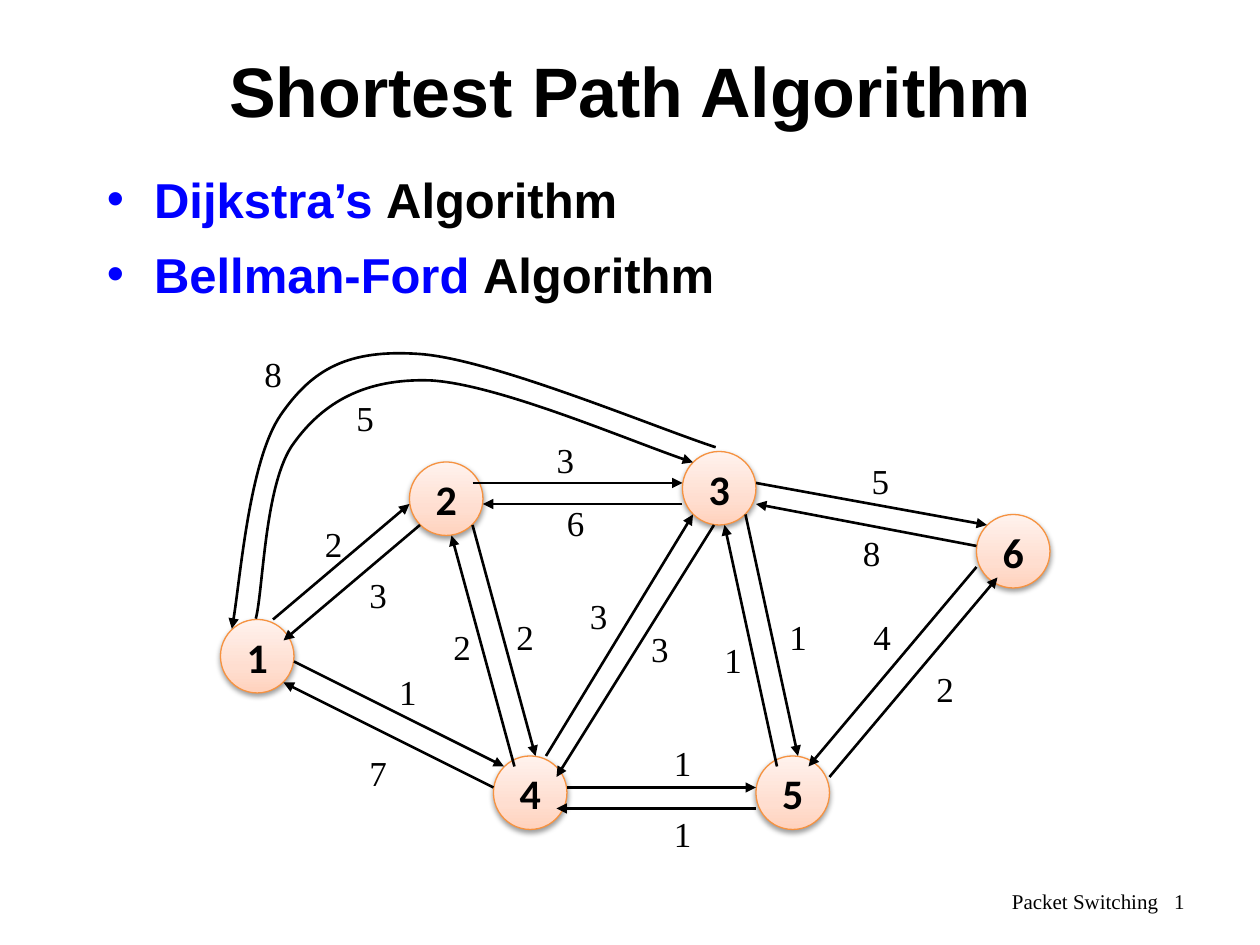
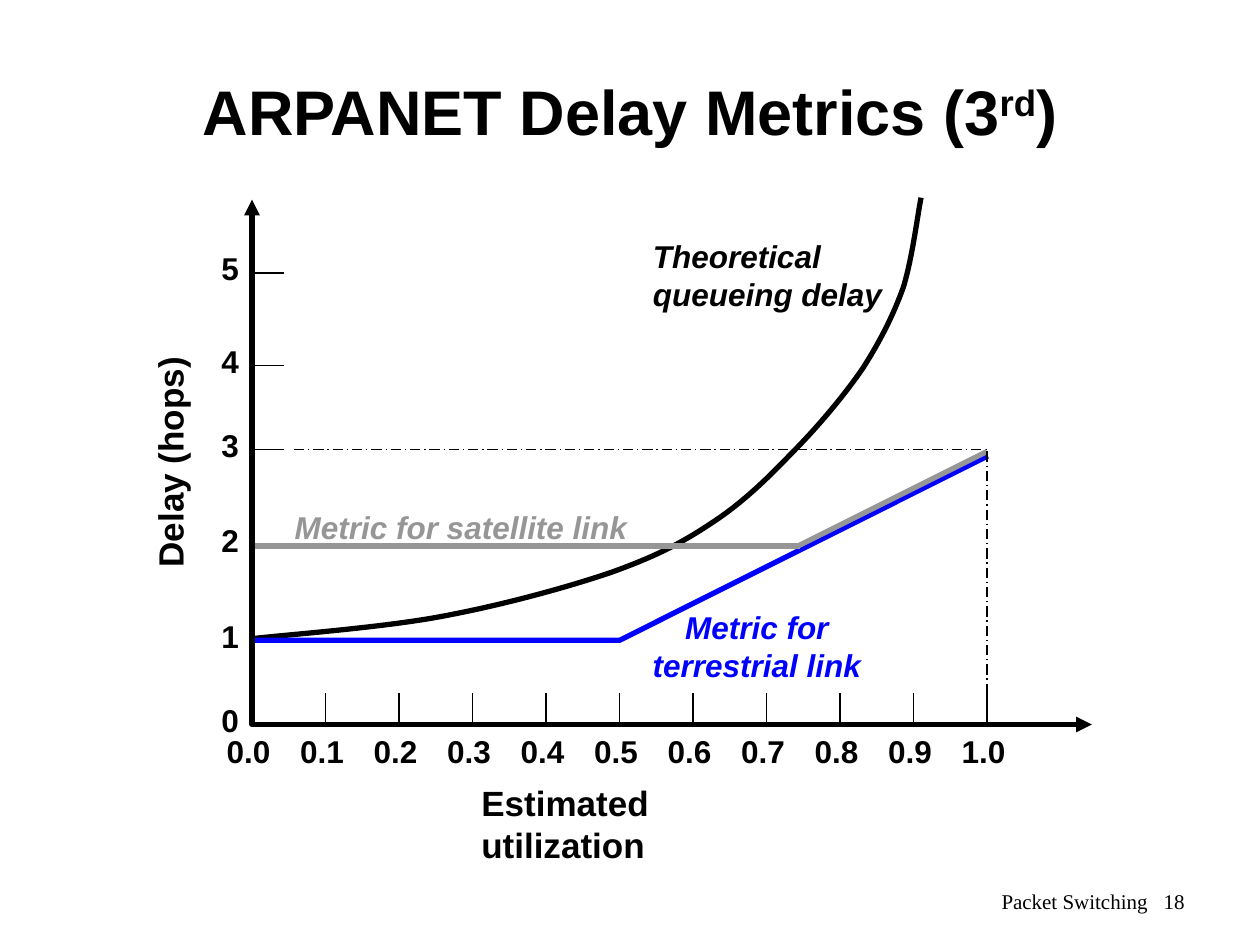
from copy import deepcopy
from dataclasses import dataclass, replace

from lxml.etree import SubElement
from pptx import Presentation
from pptx.dml.color import RGBColor
from pptx.enum.dml import MSO_LINE
from pptx.enum.shapes import MSO_CONNECTOR, MSO_SHAPE
from pptx.enum.text import MSO_ANCHOR, PP_ALIGN
from pptx.oxml.ns import qn
from pptx.util import Pt

BLACK = RGBColor(0, 0, 0)
BLUE = RGBColor(0, 0, 255)
GRAY = RGBColor(0x96, 0x96, 0x96)
NODE_EDGE = RGBColor(0xF6, 0x92, 0x40)
NODE_STOPS = (
    (0, RGBColor(0xFF, 0xD2, 0xBD)),
    (0.35, RGBColor(0xFF, 0xDE, 0xD0)),
    (1, RGBColor(0xFF, 0xF2, 0xED)),
)


@dataclass(frozen=True)
class Style:
    size: float
    font: str = "Arial"
    bold: bool = True
    italic: bool = False
    color: RGBColor = BLACK


TITLE = Style(40)
BULLET = Style(28)
FOOTER = Style(12, "Times New Roman", False)
WEIGHT = Style(20, "Times New Roman", False)
NODE = Style(24, "Calibri")
AXIS_TITLE = Style(20)
TICK = Style(18)
CURVE_LABEL = Style(18, italic=True)

NODE_SIZE = 42
NODES = {
    "2": (108, 66), "3": (264, 60), "1": (0, 156),
    "4": (156, 234), "6": (432, 96), "5": (306, 234),
}
LINKS = (
    ((30, 156), (108, 90), "2", (52.6, 97.2)),
    ((114, 102), (36, 168), "3", (78, 126)),
    ((144, 78), (264, 78), "3", (185, 49)),
    ((264, 90), (150, 90), "6", (190.8, 85)),
    ((306, 78), (438, 102), "5", (365, 61.2)),
    ((432, 114), (306, 90), "8", (360, 102)),
    ((198, 252), (306, 252), "1", (252, 222)),
    ((306, 264), (192, 264), "1", (252, 262.8)),
    ((42, 180), (162, 240), "1", (95, 181.4)),
    ((156, 252), (36, 192), "7", (78, 228)),
    ((432, 126), (336, 240), "4", (366, 150)),
    ((348, 246), (444, 132), "2", (402, 180)),
    ((144, 102), (180, 234), "2", (162, 150)),
    ((168, 240), (132, 108), "2", (126, 156)),
    ((186, 234), (270, 96), "3", (204, 138)),
    ((282, 102), (192, 246), "3", (239, 157)),
    ((300, 96), (330, 234), "1", (318, 150)),
    ((318, 240), (288, 102), "1", (280.8, 163.4)),
)
ARCS = (
    (((20.2, 155.5), (24.5, 139), (25.2, 77.8), (41.8, 55.4), (58.3, 32.4),
      (82, 18), (120.2, 19.4), (158.4, 21.6), (239, 56.2), (270, 66.2)),
     "5", (70.6, 25.2)),
    (((283, 57.6), (247.7, 46.1), (155.5, 7.2), (113.8, 4.3), (72.7, 1.4),
      (52.6, 13), (34.6, 38.9), (16.6, 64.8), (10.8, 140.4), (6.5, 161.3)),
     "8", (18, 0)),
)

HOP_LEVELS = (300, 252, 197, 143, 95, 42)
UTILIZATION_STEP = 42
QUEUEING_DELAY = (
    (0, 251), (18, 248.9), (75.6, 244.6), (109.4, 238.1),
    (144, 231.6), (180.7, 221.5), (205.9, 212.9),
    (231.8, 203.5), (245.5, 196.3), (262.8, 184.8),
    (279.4, 174), (293.8, 160.3), (308.2, 145.2),
    (322.6, 130.8), (338.4, 112.1), (349.2, 96.2),
    (359.3, 80.4), (366.5, 66), (372.2, 50.2),
    (377.3, 33.6), (380.2, 9.8), (382.3, -1),
)


def add_run(paragraph, text, style):
    run = paragraph.add_run()
    run.text = text
    font = run.font
    font.size, font.name = Pt(style.size), style.font
    font.bold, font.italic = style.bold, style.italic
    font.color.rgb = style.color
    return run


def add_frame(shapes, box, wrap=False, anchor=MSO_ANCHOR.TOP):
    frame = shapes.add_textbox(*map(Pt, box)).text_frame
    frame.word_wrap = wrap
    frame.vertical_anchor = anchor
    return frame


def add_label(shapes, box, text, style, align=PP_ALIGN.LEFT, wrap=False):
    frame = add_frame(shapes, box, wrap)
    paragraph = frame.paragraphs[0]
    paragraph.alignment = align
    for index, line in enumerate(text.split("\n")):
        if index:
            paragraph.add_line_break()
        add_run(paragraph, line, style)
    return frame


def style_stroke(stroke, color, width, dash=None, ends=()):
    stroke.line.color.rgb = color
    stroke.line.width = Pt(width)
    if dash:
        stroke.line.dash_style = dash
    properties = stroke.element.spPr
    outline = properties.find(qn("a:ln"))
    for end in ends:
        SubElement(outline, qn(f"a:{end}"), type="triangle")
    SubElement(properties, qn("a:effectLst"))


def add_line(shapes, origin, start, end, color=BLACK, width=0.75, **look):
    left, top = origin
    line = shapes.add_connector(
        MSO_CONNECTOR.STRAIGHT,
        Pt(left + start[0]), Pt(top + start[1]),
        Pt(left + end[0]), Pt(top + end[1]))
    style_stroke(line, color, width, **look)


def add_path(shapes, origin, points, color, width, curved=False, **look):
    left, top = origin
    placed = [(Pt(left + x), Pt(top + y)) for x, y in points]
    builder = shapes.build_freeform(*placed[0])
    builder.add_line_segments(placed[1:], close=False)
    outline = builder.convert_to_shape()
    outline.fill.background()
    style_stroke(outline, color, width, **look)
    if curved:
        bend_path(outline)


def bend_path(outline):
    track = next(outline.element.iter(qn("a:path")))
    segments = track.findall(qn("a:lnTo"))
    for first in range(0, len(segments), 3):
        curve = SubElement(track, qn("a:cubicBezTo"))
        for segment in segments[first:first + 3]:
            curve.append(segment[0])
            track.remove(segment)


def add_title(slide, box, parts, style):
    paragraph = add_frame(slide.shapes, box, True, MSO_ANCHOR.MIDDLE).paragraphs[0]
    paragraph.alignment = PP_ALIGN.CENTER
    for text, baseline in parts:
        run = add_run(paragraph, text, style)
        if baseline:
            run.font._element.set("baseline", str(baseline))


def add_footer(slide, box, number):
    paragraph = add_frame(slide.shapes, box, True, MSO_ANCHOR.MIDDLE).paragraphs[0]
    paragraph.alignment = PP_ALIGN.RIGHT
    add_run(paragraph, "Packet Switching", FOOTER)
    gap = add_run(paragraph, " ", FOOTER)
    gap.font._element.set("spc", "600")
    add_run(paragraph, str(number), FOOTER)


def add_algorithms(slide, box, names):
    frame = add_frame(slide.shapes, box, True)
    for index, name in enumerate(names):
        paragraph = frame.add_paragraph() if index else frame.paragraphs[0]
        paragraph.line_spacing = 1.1
        paragraph.space_before = Pt(5.6)
        properties = paragraph._p.get_or_add_pPr()
        properties.set("marL", str(Pt(27)))
        properties.set("indent", str(-Pt(27)))
        SubElement(properties, qn("a:buFont"), typeface="Arial")
        SubElement(properties, qn("a:buChar"), char="•")
        add_run(paragraph, f"{name} ", replace(BULLET, color=BLUE))
        add_run(paragraph, "Algorithm", BULLET)


def add_node(shapes, left, top, name):
    node = shapes.add_shape(
        MSO_SHAPE.OVAL, Pt(left), Pt(top), Pt(NODE_SIZE), Pt(NODE_SIZE))
    node.fill.gradient()
    node.fill.gradient_angle = 90
    properties = node.element.spPr
    stops = next(properties.iter(qn("a:gsLst")))
    stops.append(deepcopy(stops[0]))
    for stop, (position, color) in zip(node.fill.gradient_stops, NODE_STOPS):
        stop.position = position
        stop.color.rgb = color
    style_stroke(node, NODE_EDGE, 0.75)
    shadow = SubElement(
        properties.find(qn("a:effectLst")), qn("a:outerShdw"),
        blurRad=str(Pt(3.1)), dist=str(Pt(1.6)), dir="5400000", rotWithShape="0")
    shade = SubElement(shadow, qn("a:srgbClr"), val=str(BLACK))
    SubElement(shade, qn("a:alpha"), val="38000")
    frame = node.text_frame
    frame.word_wrap = False
    frame.vertical_anchor = MSO_ANCHOR.MIDDLE
    frame.paragraphs[0].alignment = PP_ALIGN.CENTER
    add_run(frame.paragraphs[0], name, NODE)


def add_network(slide, left, top):
    shapes, origin = slide.shapes, (left, top)
    for name, (x, y) in NODES.items():
        add_node(shapes, left + x, top + y, name)
    for start, end, _, _ in LINKS:
        add_line(shapes, origin, start, end, width=1.5, ends=("tailEnd",))
    for points, _, _ in ARCS:
        add_path(shapes, origin, points, BLACK, 1.5, curved=True, ends=("tailEnd",))
    for *_, weight, (x, y) in LINKS + ARCS:
        add_label(shapes, (left + x, top + y, 24.5, 31), weight, WEIGHT)


def add_scales(slide, left, top, base):
    for step in range(11):
        x = step * UTILIZATION_STEP
        tick = slide.shapes.add_group_shape().shapes
        add_line(tick, (left, top), (x, base - 18), (x, base))
        add_label(tick, (left + x - 21.6, top + base + 0.7, 39.6, 28.8),
                  f"{step / 10:.1f}", TICK)
    for hops, y in enumerate(HOP_LEVELS):
        if hops:
            add_line(slide.shapes, (left, top), (0, y), (18, y))
        add_label(slide.shapes, (left - 24.5, top + y - 17, 24.5, 28.8),
                  str(hops), TICK)


def add_delay_plot(slide, left, top, width, height):
    shapes, origin = slide.shapes, (left, top)
    full_load = 10 * UTILIZATION_STEP
    delay_title = add_label(
        shapes, (left - 62.6, top + 90, 38, 127.4), "Delay (hops)", AXIS_TITLE)
    delay_title._txBody.bodyPr.set("vert", "vert270")
    add_label(shapes, (left + 124, top + height + 28.8, 205, 31),
              "Estimated utilization", AXIS_TITLE, wrap=True)
    add_label(shapes, (left + 222, top + 18, 148, 50.4),
              "Theoretical\nqueueing delay", CURVE_LABEL)
    add_path(shapes, origin, QUEUEING_DELAY, BLACK, 3, curved=True)
    add_label(shapes, (left + 17.3, top + 172.6, 215.3, 28.8),
              "Metric for satellite link", replace(CURVE_LABEL, color=GRAY))
    add_label(shapes, (left + 218.5, top + 230, 140, 50.4),
              "Metric for\nterrestrial link", replace(CURVE_LABEL, color=BLUE),
              PP_ALIGN.CENTER)
    add_scales(slide, left, top, height)
    add_path(shapes, origin, ((0, 252), (210, 252), (420.5, 146.6)), BLUE, 3)
    add_line(shapes, origin, (24, 143), (full_load, 143), dash=MSO_LINE.LONG_DASH_DOT)
    add_line(shapes, origin, (0, 198), (313, 198), GRAY, 3)
    add_line(shapes, origin, (312, 198), (full_load, 144), GRAY, 3)
    add_path(shapes, origin, ((0, 0), (0, height), (width, height)), BLACK, 3,
             ends=("headEnd", "tailEnd"))
    add_line(shapes, origin, (full_load, 144), (full_load, height),
             dash=MSO_LINE.LONG_DASH_DOT)


def start_slide(deck, title_top, title_parts, title_style, number):
    slide = deck.slides.add_slide(deck.slide_layouts[6])
    add_title(slide, (54, title_top, 612, 90), title_parts, title_style)
    add_footer(slide, (516, 500.4, 168, 28.8), number)
    return slide


deck = Presentation()
deck.slide_width, deck.slide_height = Pt(720), Pt(540)

shortest = start_slide(deck, 6, (("Shortest Path Algorithm", 0),), TITLE, 1)
add_network(shortest, 126, 198)
add_algorithms(shortest, (54, 90, 612, 90), ("Dijkstra’s", "Bellman-Ford"))

metrics = start_slide(
    deck, 18, (("ARPANET Delay Metrics (3", 0), ("rd", 30000), (")", 0)),
    replace(TITLE, size=36), 18)
add_delay_plot(metrics, 144, 114, 480, 300)

deck.save("out.pptx")
